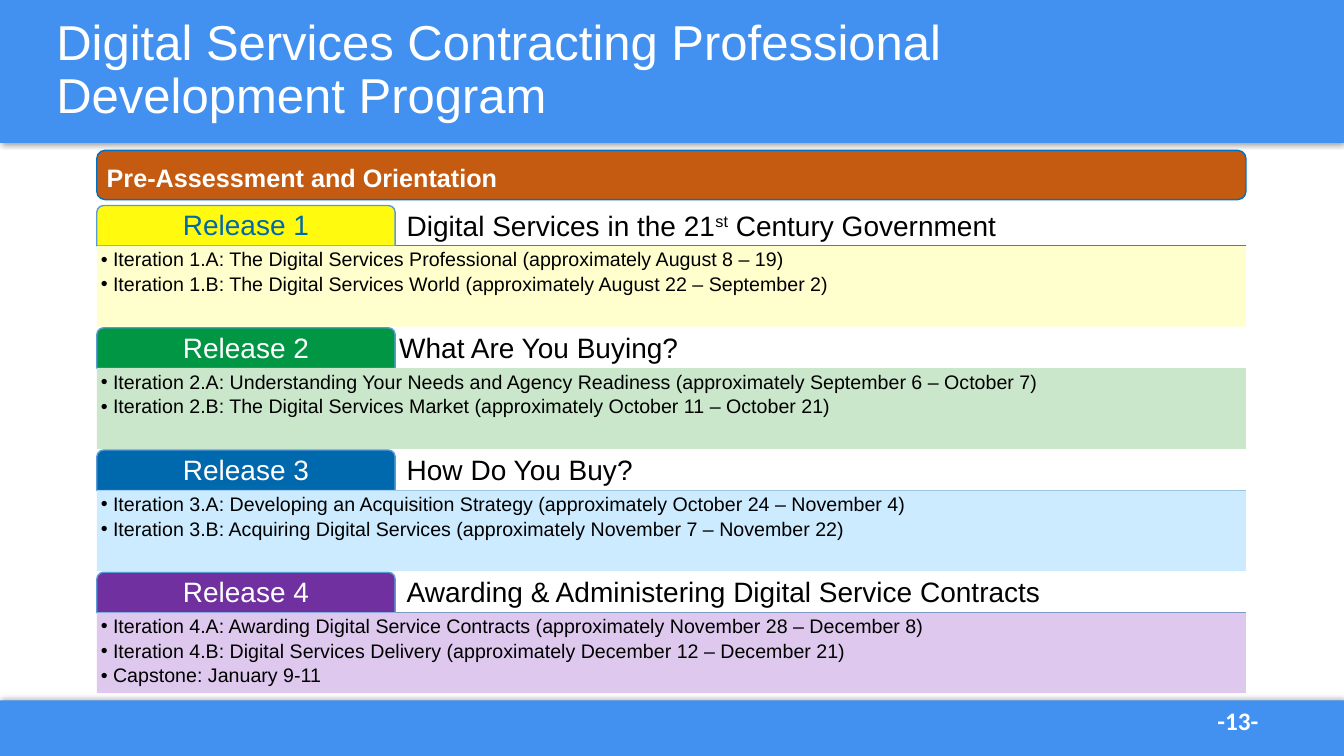
from lxml import etree
from pptx import Presentation
from pptx import util as u
from pptx.dml.color import RGBColor
from pptx.enum import shapes, text
from pptx.oxml import ns

COLORS = {
    "banner": "4291F0", "white": "FFFFFF", "black": "000000",
    "rule": "497CAB", "tab_line": "5B9BD5",
    "orientation": "C55A11", "orientation_line": "0070C0",
    "yellow": "FFFA0E", "pale_yellow": "FFFECD",
    "green": "009644", "pale_green": "CBE7CB",
    "blue": "0068AC", "pale_blue": "CDEBFF",
    "purple": "7030A0", "pale_purple": "DEC8EE",
}

SLIDE_WIDTH, SLIDE_HEIGHT = 33.87, 19.05
LEFT, WIDTH = 2.44, 28.96
TAB_WIDTH, TAB_HEIGHT, BODY_HEIGHT = 7.52, 1.02, 2.03
FIRST_TOP, RELEASE_STEP = 5.18, 3.08
INSET, HEADING_INDENT = 0.1, 0.29

RELEASES = [
    ("Release 1", "Digital Services in the 21^st^ Century Government", HEADING_INDENT,
     "yellow", "blue", "pale_yellow",
     ["Iteration 1.A: The Digital Services Professional (approximately August 8 – 19)",
      "Iteration 1.B: The Digital Services World (approximately August 22 – September 2)"]),
    ("Release 2", "What Are You Buying?", INSET,
     "green", "white", "pale_green",
     ["Iteration 2.A: Understanding Your Needs and Agency Readiness "
      "(approximately September 6 – October 7)",
      "Iteration 2.B: The Digital Services Market (approximately October 11 – October 21)"]),
    ("Release 3", "How Do You Buy?", HEADING_INDENT,
     "blue", "white", "pale_blue",
     ["Iteration 3.A: Developing an Acquisition Strategy (approximately October 24 – November 4)",
      "Iteration 3.B: Acquiring Digital Services (approximately November 7 – November 22)"]),
    ("Release 4", "Awarding & Administering Digital Service Contracts", HEADING_INDENT,
     "purple", "white", "pale_purple",
     ["Iteration 4.A: Awarding Digital Service Contracts (approximately November 28 – December 8)",
      "Iteration 4.B: Digital Services Delivery (approximately December 12 – December 21)",
      "Capstone: January 9-11"]),
]


def rgb(name):
    return RGBColor.from_string(COLORS[name])


def box(left, top, width, height):
    return [u.Cm(value) for value in (left, top, width, height)]


def add_block(slide, kind, place, fill, line=None):
    shape = slide.shapes.add_shape(kind, *box(*place))
    shape.shadow.inherit = False
    shape.fill.solid()
    shape.fill.fore_color.rgb = rgb(fill)
    if line:
        shape.line.color.rgb = rgb(line)
        shape.line.width = u.Pt(1)
    else:
        shape.line.fill.background()
    return shape


def add_banner(slide, top, height, direction):
    shape = add_block(slide, shapes.MSO_SHAPE.RECTANGLE, (0, top, SLIDE_WIDTH, height), "banner")
    effects = shape.element.spPr.find(ns.qn("a:effectLst"))
    shadow = etree.SubElement(effects, ns.qn("a:outerShdw"), blurRad=str(u.Pt(4)),
                              dist=str(u.Pt(1)), dir=str(direction * 60000), rotWithShape="0")
    color = etree.SubElement(shadow, ns.qn("a:srgbClr"), val=COLORS["black"])
    etree.SubElement(color, ns.qn("a:alpha"), val="40000")


def add_rule(slide, top):
    rule = slide.shapes.add_connector(shapes.MSO_CONNECTOR.STRAIGHT, u.Cm(LEFT), u.Cm(top),
                                      u.Cm(LEFT + WIDTH), u.Cm(top))
    rule.line.color.rgb = rgb(COLOR_OF_RULE)
    rule.line.width = u.Pt(1)
    etree.SubElement(rule.element.spPr, ns.qn("a:effectLst"))


COLOR_OF_RULE = "rule"


def set_margins(frame, left, top, right, bottom):
    frame.margin_left, frame.margin_top, frame.margin_right, frame.margin_bottom = box(
        left, top, right, bottom)


def write(shape, content, size, color, anchor=text.MSO_ANCHOR.TOP, align=text.PP_ALIGN.LEFT,
          spacing=0.9, bold=False, font="Arial"):
    frame = shape.text_frame
    frame.word_wrap = True
    frame.vertical_anchor = anchor
    frame.text = content
    for paragraph in frame.paragraphs:
        paragraph.alignment = align
        paragraph.line_spacing = spacing
        for run in paragraph.runs:
            run.font.size = u.Pt(size)
            run.font.name = font
            run.font.bold = bold
            run.font.color.rgb = rgb(color)
    return frame


def add_label(slide, place, content, size, color, **style):
    label = slide.shapes.add_textbox(*box(*place))
    return write(label, content, size, color, **style)


def add_heading(slide, top, content, indent):
    base, *rest = content.split("^")
    place = (LEFT + TAB_WIDTH, top, WIDTH - TAB_WIDTH, TAB_HEIGHT)
    frame = add_label(slide, place, base, 20, "black", anchor=text.MSO_ANCHOR.BOTTOM)
    set_margins(frame, indent, INSET, INSET, INSET)
    paragraph = frame.paragraphs[0]
    for index, part in enumerate(rest):
        run = paragraph.add_run()
        run.text = part
        run.font.size = u.Pt(20)
        run.font.name = "Arial"
        run.font.color.rgb = rgb("black")
        if index % 2 == 0:
            run.font._element.set("baseline", "30000")


def add_iterations(slide, top, fill, iterations):
    body = add_block(slide, shapes.MSO_SHAPE.RECTANGLE, (LEFT, top, WIDTH, BODY_HEIGHT), fill)
    frame = write(body, "\n".join(iterations), 14, "black")
    set_margins(frame, INSET, INSET, INSET, INSET)
    for paragraph in frame.paragraphs:
        paragraph.space_after = u.Pt(2.5)
        properties = paragraph._p.get_or_add_pPr()
        properties.set("marL", str(u.Cm(0.31)))
        properties.set("indent", str(u.Cm(-0.31)))
        etree.SubElement(properties, ns.qn("a:buFont"), typeface="Arial")
        etree.SubElement(properties, ns.qn("a:buChar"), char="•")


def add_release(slide, top, name, heading, indent, tab_fill, tab_text, body_fill, iterations):
    add_rule(slide, top + TAB_HEIGHT)
    add_heading(slide, top, heading, indent)
    tab = add_block(slide, shapes.MSO_SHAPE.ROUND_2_SAME_RECTANGLE,
                    (LEFT, top, TAB_WIDTH, TAB_HEIGHT), tab_fill, "tab_line")
    frame = write(tab, name, 20, tab_text, anchor=text.MSO_ANCHOR.MIDDLE,
                  align=text.PP_ALIGN.CENTER)
    set_margins(frame, INSET, INSET, INSET, INSET)
    add_iterations(slide, top + TAB_HEIGHT, body_fill, iterations)


def add_orientation(slide):
    bar = add_block(slide, shapes.MSO_SHAPE.ROUNDED_RECTANGLE, (LEFT, 3.79, WIDTH, 1.24),
                    "orientation", "orientation_line")
    frame = write(bar, "Pre-Assessment and Orientation", 18, "white",
                  anchor=text.MSO_ANCHOR.MIDDLE, spacing=1.0, bold=True)
    set_margins(frame, 0.19, 0.1, 0.19, 0)


def main():
    presentation = Presentation()
    presentation.slide_width = u.Cm(SLIDE_WIDTH)
    presentation.slide_height = u.Cm(SLIDE_HEIGHT)
    slide = presentation.slides.add_slide(presentation.slide_layouts[6])
    add_banner(slide, 17.65, 1.4, 270)
    add_banner(slide, 0, 3.6, 90)
    add_label(slide, (30.43, 17.65, 2.49, 1.02), "-13-", 18, "white",
              spacing=1.0, bold=True, font="Calibri")
    add_label(slide, (1.17, -0.05, 31.04, 3.68),
              "Digital Services Contracting Professional\vDevelopment Program", 35, "white",
              anchor=text.MSO_ANCHOR.MIDDLE)
    for index, release in enumerate(RELEASES):
        add_release(slide, FIRST_TOP + index * RELEASE_STEP, *release)
    add_orientation(slide)
    presentation.save("out.pptx")


if __name__ == "__main__":
    main()
